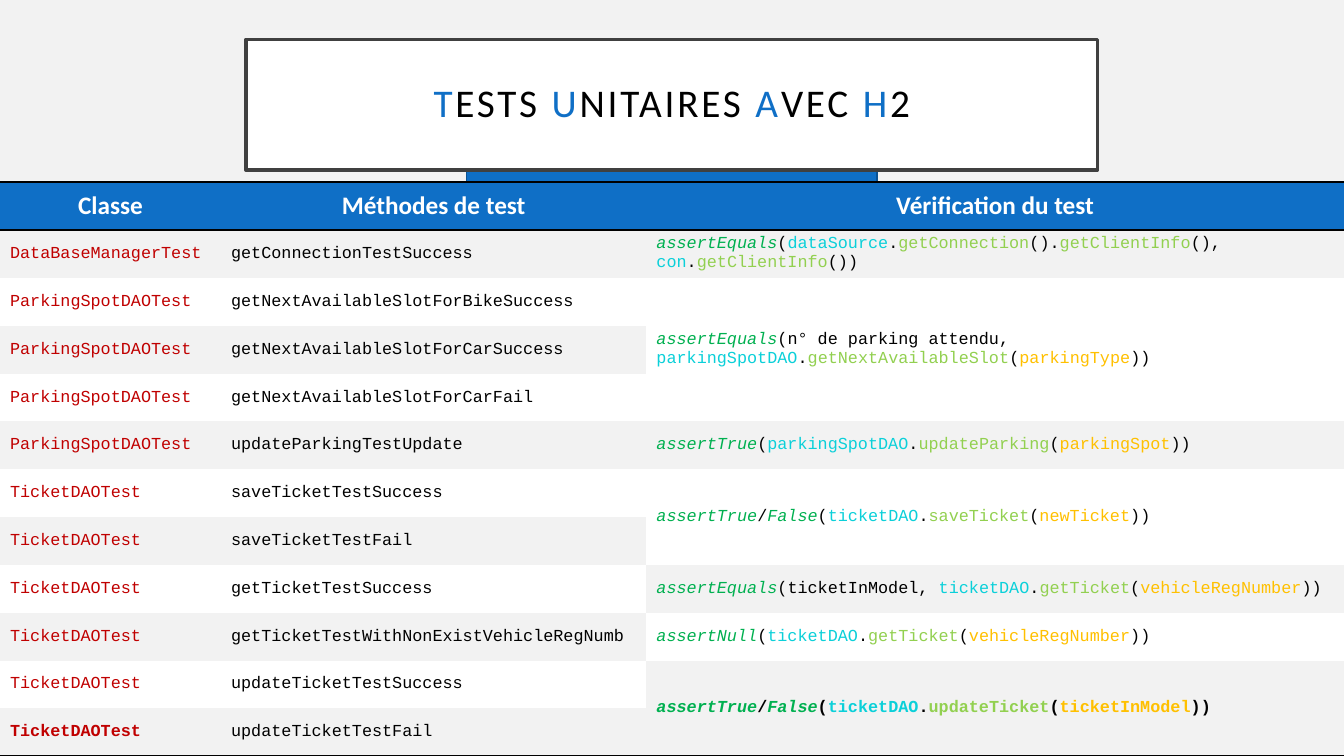
from lxml import etree
from pptx import Presentation
from pptx.dml.color import RGBColor
from pptx.enum.shapes import MSO_SHAPE
from pptx.enum.text import MSO_ANCHOR, PP_ALIGN
from pptx.oxml.ns import qn
from pptx.util import Cm, Pt

RECTANGLE = MSO_SHAPE.RECTANGLE
MIDDLE = MSO_ANCHOR.MIDDLE
LEFT, CENTER = PP_ALIGN.LEFT, PP_ALIGN.CENTER

BLACK = RGBColor(0x00, 0x00, 0x00)
WHITE = RGBColor(0xFF, 0xFF, 0xFF)
LIGHT_GREY = RGBColor(0xF2, 0xF2, 0xF2)
DARK_GREY = RGBColor(0x40, 0x40, 0x40)
BLUE = RGBColor(0x0F, 0x6F, 0xC6)
DARK_BLUE = RGBColor(0x0B, 0x52, 0x92)
RED = RGBColor(0xC0, 0x00, 0x00)
GREEN = RGBColor(0x00, 0xB0, 0x50)
CYAN = RGBColor(0x0B, 0xD0, 0xD9)
LIME = RGBColor(0x92, 0xD0, 0x50)
AMBER = RGBColor(0xFF, 0xC0, 0x00)

TITLE_FONT = {"name": "Calibri", "size": Pt(28)}
HEADER_FONT = {"name": "Calibri", "size": Pt(18), "bold": True}
CODE_FONT = {"name": "Courier New", "size": Pt(12), "bold": False}
BOLD_CODE_FONT = {**CODE_FONT, "bold": True}
NO_STYLE_NO_GRID = "{2D5ABB26-0587-4C30-8999-92F81FD0307C}"

# First character of a code piece: assertion, object, method, argument
SYNTAX = {"!": GREEN, "@": CYAN, "#": LIME, "$": AMBER}

TITLE = [("T", BLUE), ("ESTS", BLACK), (" U", BLUE), ("NITAIRES", BLACK),
         (" A", BLUE), ("VEC", BLACK), (" H", BLUE), ("2", BLACK)]
HEADERS = ["Classe", "Méthodes de test", "Vérification du test"]
COLUMN_WIDTHS = [5.57, 10.72, 17.58]
TESTS = [
    ("DataBaseManagerTest", ["getConnectionTestSuccess"]),
    ("ParkingSpotDAOTest", ["getNextAvailableSlotForBikeSuccess",
                            "getNextAvailableSlotForCarSuccess",
                            "getNextAvailableSlotForCarFail",
                            "updateParkingTestUpdate"]),
    ("TicketDAOTest", ["saveTicketTestSuccess", "saveTicketTestFail",
                       "getTicketTestSuccess",
                       "getTicketTestWithNonExistVehicleRegNumb",
                       "updateTicketTestSuccess", "updateTicketTestFail"]),
]
# Number of tests covered, then the code
CHECKS = [
    (1, "!assertEquals|(|@dataSource|.|#getConnection|().|#getClientInfo|(), "
        "|@con|.|#getClientInfo|())"),
    (3, "!assertEquals|(n° de parking attendu, |@parkingSpotDAO|."
        "|#getNextAvailableSlot|(|$parkingType|))"),
    (1, "!assertTrue|(|@parkingSpotDAO|.|#updateParking|(|$parkingSpot|))"),
    (2, "!assertTrue|/|!False|(|@ticketDAO|.|#saveTicket|(|$newTicket|))"),
    (1, "!assertEquals|(ticketInModel, |@ticketDAO|.|#getTicket|(|$vehicleRegNumber|))"),
    (1, "!assertNull|(|@ticketDAO|.|#getTicket|(|$vehicleRegNumber|))"),
    (2, "!assertTrue|/|!False|(|@ticketDAO|.|#updateTicket|(|$ticketInModel|))"),
]


def code_pieces(code):
    """Split marked code into (text, colour) pairs."""
    return [(piece[1:], SYNTAX[piece[0]]) if piece[0] in SYNTAX else (piece, BLACK)
            for piece in code.split("|")]


def band(index):
    return WHITE if index % 2 else LIGHT_GREY


class TestSlide:
    def __init__(self, presentation):
        self.slide = presentation.slides.add_slide(presentation.slide_layouts[6])
        self.slide.background.fill.solid()
        self.slide.background.fill.fore_color.rgb = LIGHT_GREY

    def box(self, left, top, width, height, fill, line, line_width):
        box = self.slide.shapes.add_shape(
            RECTANGLE, Cm(left), Cm(top), Cm(width), Cm(height))
        box.shadow.inherit = False
        box.fill.solid()
        box.fill.fore_color.rgb = fill
        box.line.color.rgb = line
        box.line.width = Pt(line_width)
        return box

    def add_text(self, paragraph, pieces, style, align):
        paragraph.alignment = align
        for text, color in pieces:
            run = paragraph.add_run()
            run.text = text
            for attribute, value in style.items():
                setattr(run.font, attribute, value)
            run.font.color.rgb = color
            run.font.italic = color == GREEN

    def title(self, pieces):
        frame = self.box(6.2, 0.99, 21.46, 3.3, WHITE, DARK_GREY, 2.5).text_frame
        frame.word_wrap = True
        frame.vertical_anchor = MIDDLE
        for side in ("left", "right", "top", "bottom"):
            setattr(frame, f"margin_{side}", Cm(0.5))
        paragraph = frame.paragraphs[0]
        paragraph.line_spacing = 0.9
        self.add_text(paragraph, pieces, TITLE_FONT, CENTER)
        for run in paragraph.runs:
            run.font._element.set("spc", "200")

    def table(self, top, height, row_count, widths):
        table = self.slide.shapes.add_table(
            row_count, len(widths), 0, Cm(top), Cm(sum(widths)), Cm(height)).table
        table.horz_banding = False
        table._tbl.tblPr.find(qn("a:tableStyleId")).text = NO_STYLE_NO_GRID
        for column, width in zip(table.columns, widths):
            column.width = Cm(width)
        return table

    def cell(self, cell, pieces, fill, style=CODE_FONT, align=LEFT):
        cell.fill.solid()
        cell.fill.fore_color.rgb = fill
        cell.vertical_anchor = MIDDLE
        self.add_text(cell.text_frame.paragraphs[0], pieces, style, align)

    def rule(self, cell, *sides):
        """Draw black borders; sides run in the order lnT, lnB."""
        properties = cell._tc.get_or_add_tcPr()
        for position, side in enumerate(sides):
            border = etree.Element(qn(f"a:{side}"), w=str(Pt(2)))
            solid = etree.SubElement(border, qn("a:solidFill"))
            etree.SubElement(solid, qn("a:srgbClr"), val=str(BLACK))
            properties.insert(position, border)


def main():
    presentation = Presentation()
    presentation.slide_width, presentation.slide_height = Cm(33.87), Cm(19.05)
    page = TestSlide(presentation)
    page.box(11.76, 4.01, 10.34, 0.56, BLUE, DARK_BLUE, 1)
    page.title(TITLE)

    tests = [(name, method) for name, methods in TESTS for method in methods]
    last = len(tests)
    table = page.table(4.59, 14.46, last + 1, COLUMN_WIDTHS)

    for column, header in enumerate(HEADERS):
        page.cell(table.cell(0, column), [(header, WHITE)], BLUE, HEADER_FONT, CENTER)
        page.rule(table.cell(0, column), "lnT", "lnB")

    for row, (name, method) in enumerate(tests, start=1):
        name_font = BOLD_CODE_FONT if row == last else CODE_FONT
        page.cell(table.cell(row, 0), [(name, RED)], band(row - 1), name_font)
        page.cell(table.cell(row, 1), [(method, BLACK)], band(row - 1))

    row = 1
    for index, (covered, code) in enumerate(CHECKS):
        check = table.cell(row, 2)
        if covered > 1:
            check.merge(table.cell(row + covered - 1, 2))
        row += covered
        check_font = BOLD_CODE_FONT if row > last else CODE_FONT
        page.cell(check, code_pieces(code), band(index), check_font)

    page.rule(check, "lnB")
    for column in range(len(HEADERS)):
        page.rule(table.cell(last, column), "lnB")

    presentation.save("out.pptx")


if __name__ == "__main__":
    main()
